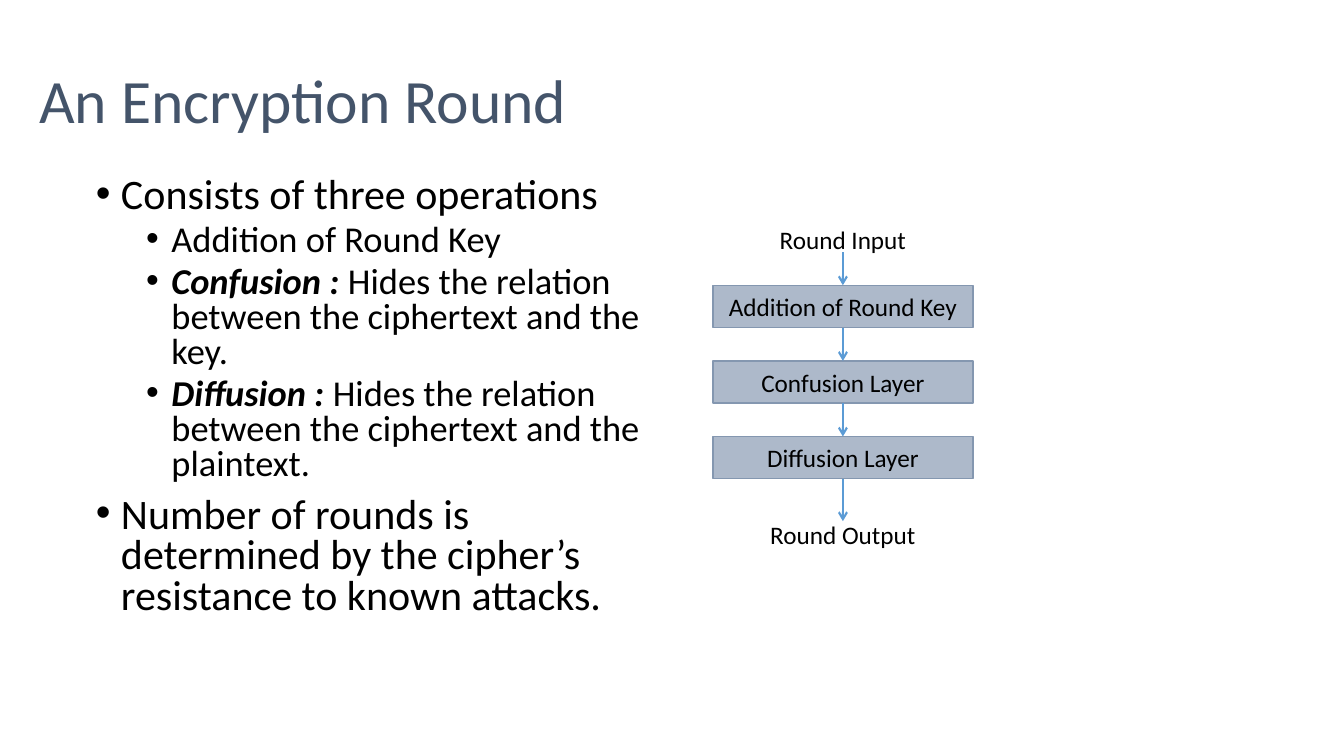
from dataclasses import dataclass

from lxml import etree
from pptx import Presentation
from pptx.dml.color import RGBColor
from pptx.enum.shapes import MSO_CONNECTOR, MSO_SHAPE
from pptx.enum.text import MSO_ANCHOR, MSO_AUTO_SIZE, PP_ALIGN
from pptx.oxml.ns import qn
from pptx.util import Inches, Pt

RECT = MSO_SHAPE.RECTANGLE
STRAIGHT = MSO_CONNECTOR.STRAIGHT
MIDDLE = MSO_ANCHOR.MIDDLE
LEFT, CENTER = PP_ALIGN.LEFT, PP_ALIGN.CENTER
NO_FIT, GROW = MSO_AUTO_SIZE.NONE, MSO_AUTO_SIZE.SHAPE_TO_FIT_TEXT
TOP, BOTTOM = 0, 2


@dataclass(frozen=True)
class Theme:
    font: str = "Calibri"
    title: RGBColor = RGBColor(0x44, 0x54, 0x6A)
    text: RGBColor = RGBColor(0, 0, 0)
    fill: RGBColor = RGBColor(0xAD, 0xB9, 0xCA)
    edge: RGBColor = RGBColor(0x84, 0x97, 0xB0)
    arrow: RGBColor = RGBColor(0x5B, 0x9B, 0xD5)
    title_size: int = 44
    list_sizes: tuple = (30, 26)
    label_size: int = 18


THEME = Theme()

# Level, bold lead, text
POINTS = [
    (0, "", "Consists of three operations"),
    (1, "", "Addition of Round Key"),
    (1, "Confusion : ", "Hides the relation between the ciphertext and the key."),
    (1, "Diffusion : ", "Hides the relation between the ciphertext and the plaintext."),
    (0, "", "Number of rounds is determined by the cipher’s resistance to known attacks."),
]
STEPS = ["Addition of Round Key", "Confusion Layer", "Diffusion Layer"]

AXIS = 8.36
STEP_W, STEP_H = 2.58, 0.42
STEP_TOP, PITCH = 2.83, 0.75


def place(shape, left, top, width, height):
    shape.left, shape.top = Inches(left), Inches(top)
    shape.width, shape.height = Inches(width), Inches(height)


def style(run, size, color=THEME.text):
    run.font.name = THEME.font
    run.font.size = Pt(size)
    run.font.color.rgb = color


def set_title(shape, text):
    place(shape, 0.29, 0.3, 11.5, 1.45)
    frame = shape.text_frame
    frame.text = text
    frame.auto_size = NO_FIT
    frame.vertical_anchor = MIDDLE
    para = frame.paragraphs[0]
    para.alignment = LEFT
    para.line_spacing = 0.9
    style(para.runs[0], THEME.title_size, THEME.title)


def set_bullet(para, level):
    props = para._p.get_or_add_pPr()
    props.set("marL", str(Inches(0.25 + 0.5 * level)))
    props.set("indent", str(Inches(-0.25)))
    font = etree.SubElement(props, qn("a:buFont"))
    font.set("typeface", "Arial")
    etree.SubElement(props, qn("a:buChar")).set("char", "•")


def set_list(shape, points):
    place(shape, 0.85, 1.71, 5.62, 5.25)
    frame = shape.text_frame
    frame.auto_size = NO_FIT
    for i, (level, lead, text) in enumerate(points):
        para = frame.add_paragraph() if i else frame.paragraphs[0]
        para.level = level
        para.line_spacing = 0.8
        para.space_before = Pt((10, 5)[level] if i else 0)
        set_bullet(para, level)
        para.text = lead or text
        if lead:
            para.runs[0].font.bold = para.runs[0].font.italic = True
            para.add_run().text = text
        for run in para.runs:
            style(run, THEME.list_sizes[level])


def set_label(shape, text):
    frame = shape.text_frame
    frame.text = text
    frame.paragraphs[0].alignment = CENTER
    style(frame.paragraphs[0].runs[0], THEME.label_size)


def add_step(slide, top, text):
    box = slide.shapes.add_shape(RECT, Inches(AXIS - STEP_W / 2), Inches(top),
                                 Inches(STEP_W), Inches(STEP_H))
    box.shadow.inherit = False
    box.fill.solid()
    box.fill.fore_color.rgb = THEME.fill
    box.line.color.rgb = THEME.edge
    box.line.width = Pt(1)
    box.text_frame.vertical_anchor = MIDDLE
    set_label(box, text)
    return box


def add_label(slide, top, width, text):
    box = slide.shapes.add_textbox(Inches(AXIS - width / 2), Inches(top),
                                   Inches(width), Inches(0.4))
    box.text_frame.word_wrap = False
    box.text_frame.auto_size = GROW
    set_label(box, text)


def add_arrow(slide, start, end, source=None, target=None):
    """Point down the axis, joined to the source and target boxes if given."""
    line = slide.shapes.add_connector(STRAIGHT, Inches(AXIS), Inches(start),
                                      Inches(AXIS), Inches(end))
    if source is not None:
        line.begin_connect(source, BOTTOM)
    if target is not None:
        line.end_connect(target, TOP)
    line.line.color.rgb = THEME.arrow
    line.line.width = Pt(1.5)
    etree.SubElement(line.line._get_or_add_ln(), qn("a:tailEnd")).set("type", "arrow")
    etree.SubElement(line._element.spPr, qn("a:effectLst"))


def add_flow(slide):
    tops = [STEP_TOP + i * PITCH for i in range(len(STEPS))]
    boxes = [add_step(slide, top, text) for top, text in zip(tops, STEPS)]
    starts = [2.5] + [top + STEP_H for top in tops]
    ends = tops + [5.17]
    for start, end, source, target in zip(starts, ends, [None] + boxes, boxes + [None]):
        add_arrow(slide, start, end, source, target)
    add_label(slide, 2.18, 1.47, "Round Input")
    add_label(slide, 5.1, 1.7, "Round Output")


def main():
    deck = Presentation()
    deck.slide_width, deck.slide_height = Inches(13.33), Inches(7.5)
    slide = deck.slides.add_slide(deck.slide_layouts[1])
    set_title(slide.shapes.title, "An Encryption Round")
    set_list(slide.placeholders[1], POINTS)
    add_flow(slide)
    deck.save("out.pptx")


if __name__ == "__main__":
    main()
